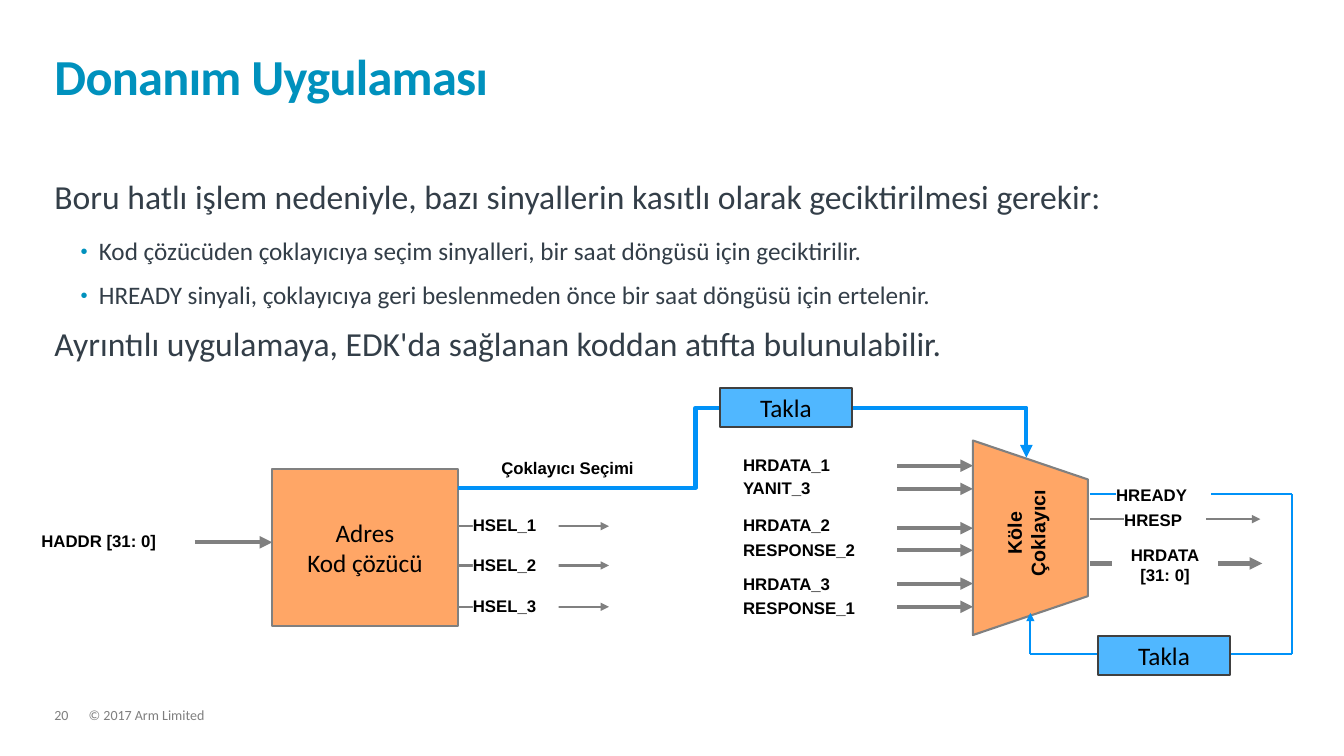
from lxml import etree
from pptx import Presentation
from pptx import util as u
from pptx.dml.color import RGBColor
from pptx.enum import shapes, text
from pptx.oxml.ns import qn

COLORS = {"title": "0091BD", "body": "333E48", "footer": "7F7F7F", "label": "000000",
          "paper": "FFFFFF", "block": "FFA666", "wire": "808080",
          "select": "0092F8", "flop": "50B7FF", "flop_edge": "404040"}
LEFT, CENTER = text.PP_ALIGN.LEFT, text.PP_ALIGN.CENTER
TOP, MIDDLE, BOTTOM = (text.MSO_ANCHOR.TOP, text.MSO_ANCHOR.MIDDLE,
                       text.MSO_ANCHOR.BOTTOM)
RECTANGLE = shapes.MSO_SHAPE.RECTANGLE
LABEL_HEIGHT = 0.2


def color(name):
    return RGBColor.from_string(COLORS[name])


def inches(*values):
    return [u.Inches(value) for value in values]


def place(shape, box):
    shape.left, shape.top, shape.width, shape.height = inches(*box)


def setup_frame(frame, anchor=TOP, wrap=True, inset=0.0):
    frame.auto_size = text.MSO_AUTO_SIZE.NONE
    frame.word_wrap = wrap
    frame.vertical_anchor = anchor
    frame.margin_left = frame.margin_right = u.Inches(inset)
    frame.margin_top = frame.margin_bottom = u.Inches(inset / 2)


def write(para, words, size, ink, font="Calibri", bold=False):
    span = para.add_run()
    span.text = words
    span.font.size = u.Pt(size)
    span.font.name = font
    span.font.bold = bold
    span.font.color.rgb = color(ink)
    return span


def write_lines(frame, lines, size, align=CENTER, font="Calibri", bold=False, ink="label"):
    for index, line in enumerate(lines):
        para = frame.add_paragraph() if index else frame.paragraphs[0]
        para.alignment = align
        write(para, line, size, ink, font, bold)


def add_block(page, box, fill, edge=None, kind=RECTANGLE):
    block = page.shapes.add_shape(kind, *inches(*box))
    block.shadow.inherit = False
    block.fill.solid()
    block.fill.fore_color.rgb = color(fill)
    if edge:
        block.line.color.rgb = color(edge)
        block.line.width = u.Pt(1.5)
    else:
        block.line.fill.background()
    return block


def add_label(page, box, *lines, align=LEFT):
    """Signal name on white, hiding the wire that runs behind it."""
    label = add_block(page, box, "paper")
    setup_frame(label.text_frame, MIDDLE)
    write_lines(label.text_frame, lines, 12, align, "Arial", True)


def add_wire(page, start, end, ink="wire", width=1.5, arrow=True,
             kind=shapes.MSO_CONNECTOR.STRAIGHT):
    wire = page.shapes.add_connector(kind, *inches(*start, *end))
    wire.line.color.rgb = color(ink)
    wire.line.width = u.Pt(width)
    if arrow:
        etree.SubElement(wire.line._get_or_add_ln(), qn("a:tailEnd"), type="triangle")
    etree.SubElement(wire._element.spPr, qn("a:effectLst"))
    return wire


def add_title(page, box, words):
    title = page.shapes.title
    place(title, box)
    setup_frame(title.text_frame, BOTTOM)
    para = title.text_frame.paragraphs[0]
    para.alignment = LEFT
    para.line_spacing = 0.85
    span = write(para, words, 36, "title", bold=True)
    span._r.get_or_add_rPr().set("spc", "-50")


def add_bullet(para):
    props = para._p.get_or_add_pPr()
    props.set("marL", str(u.Inches(0.44)))
    props.set("indent", str(u.Inches(-0.18)))
    tint = etree.SubElement(props, qn("a:buClr"))
    etree.SubElement(tint, qn("a:srgbClr"), val=COLORS["title"])
    etree.SubElement(props, qn("a:buSzPct"), val="80000")
    etree.SubElement(props, qn("a:buFont"), typeface="Arial")
    etree.SubElement(props, qn("a:buChar"), char="•")


def remove_bullet(para):
    props = para._p.get_or_add_pPr()
    props.set("marL", "0")
    props.set("indent", "0")
    etree.SubElement(props, qn("a:buNone"))


def add_body(page, box, items):
    body = page.placeholders[1]
    place(body, box)
    frame = body.text_frame
    setup_frame(frame)
    for index, (level, words) in enumerate(items):
        para = frame.add_paragraph() if index else frame.paragraphs[0]
        para.level = level
        if level:
            add_bullet(para)
        else:
            remove_bullet(para)
        para.line_spacing = 0.9
        para.space_before = u.Pt(0)
        para.space_after = u.Pt(12 if level else 16)
        write(para, words, 18 if level else 24, "body")


def add_footer(page, box, number, notice):
    left, top, width, height = box
    gap = 0.34
    for words, x, span_width in ((number, left, gap), (notice, left + gap, width - gap)):
        note = page.shapes.add_textbox(*inches(x, top, span_width, height))
        setup_frame(note.text_frame)
        note.text_frame.paragraphs[0].line_spacing = 0.9
        write_lines(note.text_frame, [words], 10, LEFT, ink="footer")


def add_decoder(page, box):
    left, top, width, height = box
    right = left + width
    middle = top + 0.73
    add_wire(page, (left - 0.77, middle), (left, middle), width=3)
    add_label(page, (left - 2.29, middle - 0.11, 1.52, LABEL_HEIGHT), "HADDR [31: 0]")
    add_label(page, (right - 0.11, top - 0.11, 2.4, LABEL_HEIGHT), "Çoklayıcı Seçimi", align=CENTER)
    for number, offset in enumerate((0.57, 0.96, 1.37), 1):
        y = top + offset
        add_wire(page, (right, y), (right + 1.5, y))
        add_label(page, (right + 0.15, y - 0.11, 0.85, LABEL_HEIGHT), f"HSEL_{number}")
    block = add_block(page, box, "block", "wire")
    setup_frame(block.text_frame, MIDDLE, False, 0.1)
    write_lines(block.text_frame, ["Adres", "Kod çözücü"], 18)


def add_multiplexer(page, box):
    """Trapezoid turned a quarter left, with its input wires; box is as seen."""
    left, top, width, height = box
    center_x, center_y = left + width / 2, top + height / 2
    block = add_block(page, (center_x - height / 2, center_y - width / 2, height, width),
                      "block", "wire", shapes.MSO_SHAPE.FLOWCHART_MANUAL_OPERATION)
    block.rotation = 270
    name = page.shapes.add_textbox(*inches(center_x - 0.74, center_y - 0.33, 1.39, 0.57))
    name.rotation = 270
    setup_frame(name.text_frame, inset=0.1)
    write_lines(name.text_frame, ["Köle", "Çoklayıcı"], 14, font="Arial", bold=True)
    inputs = (("HRDATA_1", 0.25), ("YANIT_3", 0.48), ("HRDATA_2", 0.87),
              ("RESPONSE_2", 1.09), ("HRDATA_3", 1.42), ("RESPONSE_1", 1.65))
    label_tops = (0.14, 0.37, 0.74, 0.98, 1.32, 1.56)
    for (signal, offset), label_top in zip(inputs, label_tops):
        add_label(page, (left - 2.28, top + label_top, 1.36, LABEL_HEIGHT), signal)
        add_wire(page, (left - 0.75, top + offset), (left, top + offset), width=3)


def add_outputs(page, box):
    """Outgoing signals; HREADY runs along the box edge and back to the multiplexer."""
    left, top, width, height = box
    right, bottom = left + width, top + height
    add_wire(page, (left, top + 0.69), (left + 1.71, top + 0.69), width=3)
    add_wire(page, (left, top + 0.25), (left + 1.69, top + 0.25))
    add_wire(page, (left, top), (right, top), "select", arrow=False)
    add_label(page, (left + 0.26, top - 0.09, 0.94, LABEL_HEIGHT), "HREADY")
    add_label(page, (left + 0.34, top + 0.16, 0.81, LABEL_HEIGHT), "HRESP")
    add_label(page, (left + 0.22, top + 0.5, 1.05, 2 * LABEL_HEIGHT),
              "HRDATA", "[31: 0]", align=CENTER)
    feedback = left - 0.59
    add_wire(page, (feedback, bottom), (feedback, bottom - 0.41), "select")
    add_wire(page, (feedback, bottom), (right, bottom), "select", arrow=False)
    add_wire(page, (right, bottom), (right, top), "select", arrow=False)


def add_select_wire(page, start, end):
    wire = add_wire(page, start, end, "select", 3, kind=shapes.MSO_CONNECTOR.ELBOW)
    shape = wire._element.spPr.find(qn("a:prstGeom"))
    shape.set("prst", "bentConnector4")
    guides = shape.find(qn("a:avLst"))
    if guides is None:
        guides = etree.SubElement(shape, qn("a:avLst"))
    for name, value in (("adj1", 41800), ("adj2", 264600)):
        etree.SubElement(guides, qn("a:gd"), name=name, fmla=f"val {value}")


def add_flip_flop(page, box):
    flop = add_block(page, box, "flop", "flop_edge")
    setup_frame(flop.text_frame, MIDDLE, False, 0.1)
    write_lines(flop.text_frame, ["Takla"], 18)


def main():
    deck = Presentation()
    deck.slide_width, deck.slide_height = inches(13.33, 7.5)
    page = deck.slides.add_slide(deck.slide_layouts[1])
    add_footer(page, (0.54, 7.03, 9.47, 0.15), "20", "© 2017 Arm Limited")
    add_title(page, (0.54, 0.32, 12.23, 0.73), "Donanım Uygulaması")
    add_body(page, (0.54, 1.79, 12.23, 4.47), (
        (0, "Boru hatlı işlem nedeniyle, bazı sinyallerin kasıtlı olarak geciktirilmesi gerekir:"),
        (1, "Kod çözücüden çoklayıcıya seçim sinyalleri, bir saat döngüsü için geciktirilir."),
        (1, "HREADY sinyali, çoklayıcıya geri beslenmeden önce bir saat döngüsü için ertelenir."),
        (0, "Ayrıntılı uygulamaya, EDK'da sağlanan koddan atıfta bulunulabilir.")))
    add_decoder(page, (2.7, 4.65, 1.84, 1.56))
    add_multiplexer(page, (9.65, 4.37, 1.14, 1.93))
    add_select_wire(page, (4.54, 4.84), (10.18, 4.54))
    add_outputs(page, (10.81, 4.9, 2, 1.59))
    for left, top in ((7.14, 3.85), (10.89, 6.31)):
        add_flip_flop(page, (left, top, 1.31, 0.39))
    deck.save("out.pptx")


if __name__ == "__main__":
    main()
